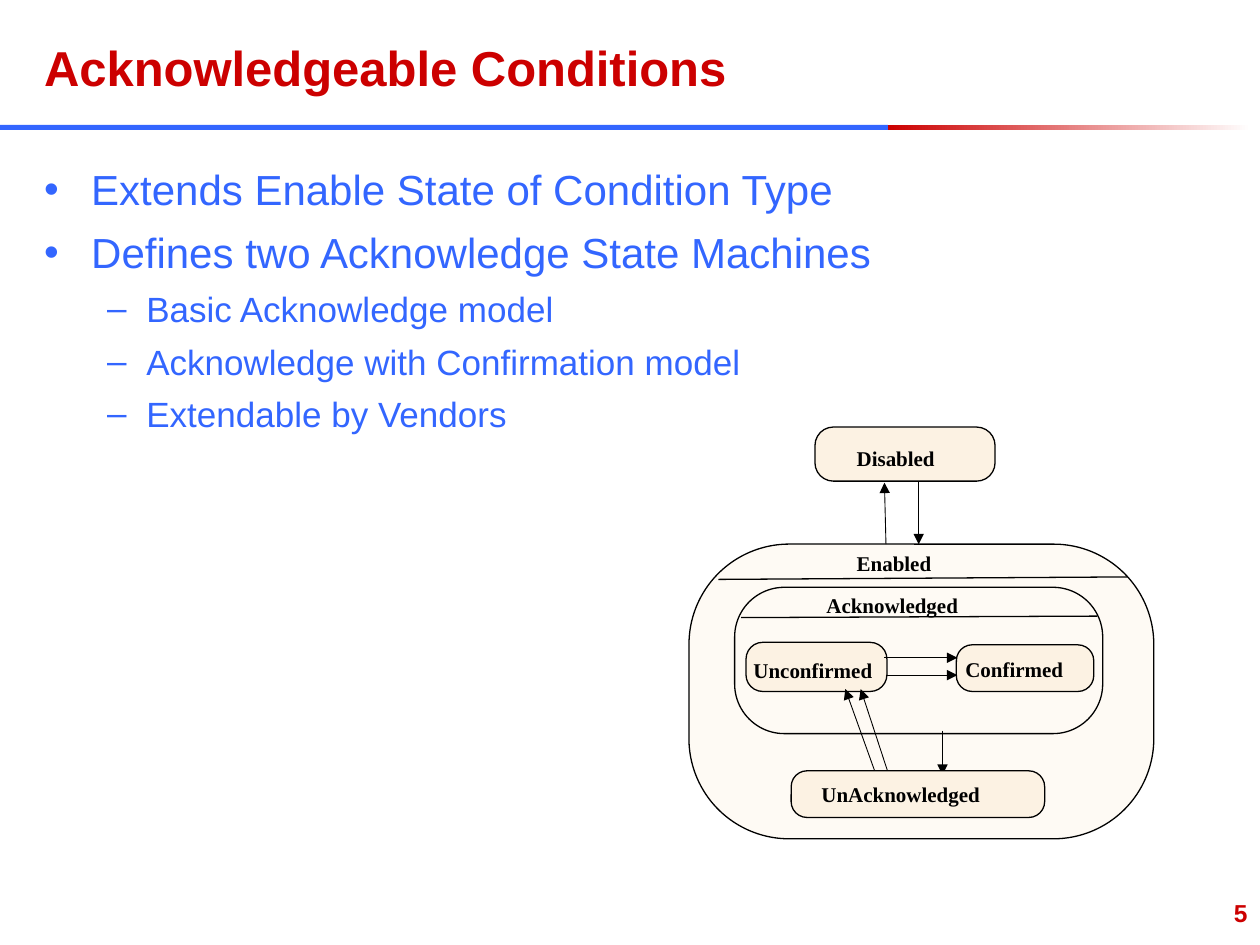
from lxml.etree import SubElement
from pptx import Presentation
from pptx.dml.color import RGBColor as RGB
from pptx.enum.shapes import MSO_CONNECTOR as LINK, MSO_SHAPE as SHAPE
from pptx.enum.text import PP_ALIGN as ALIGN
from pptx.oxml.ns import qn
from pptx.util import Cm, Pt

HUE = {"red": "CC0000", "blue": "3366FF", "white": "FFFFFF",
       "black": "000000", "cream": "FEFAF4", "sand": "FCF2E3"}

TITLE = "Acknowledgeable Conditions"
POINTS = [
    (0, "Extends Enable State of Condition Type"),
    (0, "Defines two Acknowledge State Machines"),
    (1, "Basic Acknowledge model"),
    (1, "Acknowledge with Confirmation model"),
    (1, "Extendable by Vendors"),
]
# bullet, size (pt), space before (pt), left edge (cm), hang (cm)
LEVELS = [("•", 24, 7, 0.95, 0.95), ("–", 20, 6, 2.06, 0.79)]

# All places are in cm: left, top, width, height
STATES = [
    ("cream", (13.89, 10.97, 9.37, 5.94)),   # Enabled
    ("sand", (16.43, 8.61, 3.63, 1.09)),     # Disabled
    ("cream", (14.81, 11.84, 7.42, 2.95)),   # Acknowledged
    ("sand", (15.04, 12.95, 2.84, 0.99)),    # Unconfirmed
    ("sand", (19.28, 13.0, 2.77, 0.94)),     # Confirmed
]
LAST = ("sand", (15.95, 15.54, 5.11, 0.94))  # UnAcknowledged, over its arrows
LABELS = [
    ("Disabled", (17.27, 8.99, 2.08, 0.51)),
    ("Enabled", (17.27, 11.1, 1.85, 0.51)),
    ("Acknowledged", (16.66, 11.94, 3.05, 0.66)),
    ("Unconfirmed", (15.19, 13.26, 2.82, 0.41)),
    ("Confirmed", (19.46, 13.23, 2.34, 0.79)),
    ("UnAcknowledged", (16.56, 15.75, 4.19, 0.38)),
]
# x and y of the start, then of the end
RULES = [(14.48, 11.68, 22.73, 11.63), (14.94, 12.45, 22.12, 12.42)]
ARROWS = [
    (18.52, 9.7, 18.52, 10.97),
    (17.86, 10.97, 17.83, 9.73),
    (17.83, 13.26, 19.3, 13.26),
    (17.86, 13.61, 19.3, 13.61),
    (19.0, 14.73, 19.0, 15.62),
    (17.96, 15.75, 17.35, 13.89),
    (17.88, 16.23, 17.04, 13.89),
]


def tint(name):
    return RGB.from_string(HUE[name])


def add_box(slide, kind, place):
    box = slide.shapes.add_shape(kind, *map(Cm, place))
    box.shadow.inherit = False
    return box


def add_bar(slide, place):
    bar = add_box(slide, SHAPE.RECTANGLE, place)
    bar.line.fill.background()
    return bar


def add_state(slide, hue, place):
    box = add_box(slide, SHAPE.ROUNDED_RECTANGLE, place)
    box.adjustments[0] = 0.34
    box.fill.solid()
    box.fill.fore_color.rgb = tint(hue)
    box.line.color.rgb = tint("black")
    box.line.width = Pt(0.75)


def add_line(slide, ends, width, arrow=False):
    line = slide.shapes.add_connector(LINK.STRAIGHT, *map(Cm, ends))
    line.line.color.rgb = tint("black")
    line.line.width = Pt(width)
    if arrow:
        SubElement(line.line._get_or_add_ln(), qn("a:tailEnd"), type="triangle")
    SubElement(line._element.spPr, qn("a:effectLst"))


def add_frame(slide, place, pad=True):
    frame = slide.shapes.add_textbox(*map(Cm, place)).text_frame
    frame.word_wrap = True
    if not pad:
        frame.margin_left = frame.margin_right = 0
        frame.margin_top = frame.margin_bottom = 0
    return frame


def add_run(para, text, size, hue, face="Arial", bold=False):
    run = para.add_run()
    run.text = text
    font = run.font
    font.name, font.size, font.bold = face, Pt(size), bold
    font.color.rgb = tint(hue)


def set_bullet(para, mark, left, hang):
    props = para._p.get_or_add_pPr()
    props.set("marL", str(Cm(left)))
    props.set("indent", str(-Cm(hang)))
    color = SubElement(props, qn("a:buClr"))
    SubElement(color, qn("a:srgbClr"), val=HUE["blue"])
    SubElement(props, qn("a:buFont"), typeface="Arial")
    SubElement(props, qn("a:buChar"), char=mark)


def add_points(slide):
    frame = add_frame(slide, (0.64, 3.18, 24.13, 14.6))
    for i, (level, text) in enumerate(POINTS):
        mark, size, gap, left, hang = LEVELS[level]
        para = frame.add_paragraph() if i else frame.paragraphs[0]
        para.level = level
        para.space_before = Pt(gap if i else 0)
        set_bullet(para, mark, left, hang)
        add_run(para, text, size, "blue")


def add_diagram(slide):
    for hue, place in STATES:
        add_state(slide, hue, place)
    for ends in RULES:
        add_line(slide, ends, 0.75)
    for ends in ARROWS:
        add_line(slide, ends, 0.5, arrow=True)
    add_state(slide, *LAST)
    for text, place in LABELS:
        para = add_frame(slide, place, pad=False).paragraphs[0]
        add_run(para, text, 12, "black", "Times New Roman", True)


def main():
    deck = Presentation()
    deck.slide_width, deck.slide_height = Cm(25.4), Cm(19.05)
    slide = deck.slides.add_slide(deck.slide_layouts[6])

    fade = add_bar(slide, (17.9, 2.52, 7.32, 0.1)).fill
    fade.gradient()
    fade.gradient_angle = 0
    for stop, hue in zip(fade.gradient_stops, ("red", "white")):
        stop.color.rgb = tint(hue)
    solid = add_bar(slide, (0, 2.52, 17.9, 0.1)).fill
    solid.solid()
    solid.fore_color.rgb = tint("blue")

    head = add_frame(slide, (0.64, 0.64, 17.35, 1.47)).paragraphs[0]
    add_run(head, TITLE, 28, "red", bold=True)
    add_points(slide)
    add_diagram(slide)

    page = add_frame(slide, (20.12, 17.98, 5.28, 1.07)).paragraphs[0]
    page.alignment = ALIGN.RIGHT
    add_run(page, "5", 14, "red", bold=True)
    deck.save("out.pptx")


if __name__ == "__main__":
    main()
